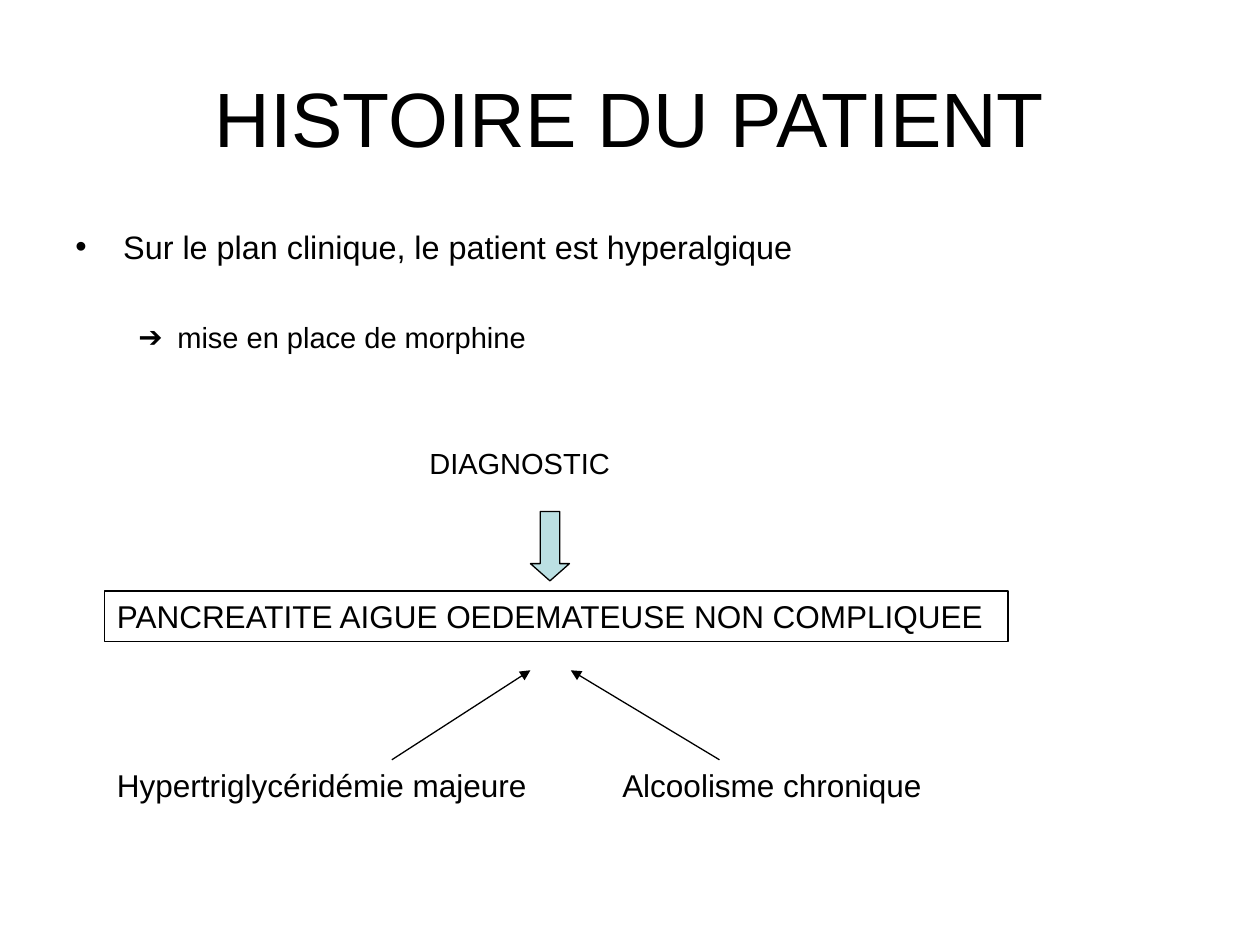
from typing import NamedTuple

import pptx
import pptx.dml.color
import pptx.enum.shapes
import pptx.enum.text
import pptx.oxml.ns
import pptx.util
from lxml import etree

Inches = pptx.util.Inches
Pt = pptx.util.Pt
PP_ALIGN = pptx.enum.text.PP_ALIGN
MSO_ANCHOR = pptx.enum.text.MSO_ANCHOR
MSO_SHAPE = pptx.enum.shapes.MSO_SHAPE

FONT = "Arial"
BLACK = "000000"
LIGHT_TEAL = "BBE0E3"
LINE_WIDTH = 0.75


class Box(NamedTuple):
    left: float
    top: float
    width: float
    height: float


class Item(NamedTuple):
    text: str
    size: float
    margin: float
    indent: float = 0
    bullet: str = ""
    space_before: float = 0


class Label(NamedTuple):
    text: str
    box: Box
    framed: bool = False


class Arrow(NamedTuple):
    start: tuple[float, float]
    end: tuple[float, float]


TITLE_BOX = Box(0.5, 0.3, 9, 1.25)
BODY_BOX = Box(0.5, 1.75, 9, 2.55)
DOWN_ARROW_BOX = Box(4.21, 4.06, 0.31, 0.55)

ITEMS = [
    Item("Sur le plan clinique, le patient est hyperalgique", 18.5, 0.38, -0.38, "•"),
    Item("mise en place de morphine", 16.6, 0.81, -0.31, "➔", 31),
    Item("DIAGNOSTIC", 16.6, 2.81, space_before=52),
]
LABELS = [
    Label("PANCREATITE AIGUE OEDEMATEUSE NON COMPLIQUEE", Box(0.83, 4.69, 7.17, 0.4), True),
    Label("Hypertriglycéridémie majeure", Box(0.83, 6.03, 3.54, 0.4)),
    Label("Alcoolisme chronique", Box(4.84, 6.03, 2.68, 0.4)),
]
CAUSE_ARROWS = [
    Arrow((3.11, 6.03), (4.21, 5.32)),
    Arrow((5.71, 6.03), (4.53, 5.32)),
]


def color(value: str) -> pptx.dml.color.RGBColor:
    return pptx.dml.color.RGBColor.from_string(value)


def add_element(parent, tag: str, **attributes: str):
    return etree.SubElement(parent, pptx.oxml.ns.qn(tag), attributes)


def set_font(paragraph, size: float) -> None:
    paragraph.font.name = FONT
    paragraph.font.size = Pt(size)
    paragraph.font.color.rgb = color(BLACK)


def set_line(line) -> None:
    line.color.rgb = color(BLACK)
    line.width = Pt(LINE_WIDTH)


def add_text_box(slide, box: Box):
    shape = slide.shapes.add_textbox(*map(Inches, box))
    shape.text_frame.word_wrap = True
    return shape


def add_title(slide, text: str) -> None:
    text_frame = add_text_box(slide, TITLE_BOX).text_frame
    text_frame.vertical_anchor = MSO_ANCHOR.MIDDLE
    paragraph = text_frame.paragraphs[0]
    paragraph.text = text
    paragraph.alignment = PP_ALIGN.CENTER
    set_font(paragraph, 44)


def add_body(slide, items: list[Item]) -> None:
    text_frame = add_text_box(slide, BODY_BOX).text_frame
    for index, item in enumerate(items):
        paragraph = text_frame.add_paragraph() if index else text_frame.paragraphs[0]
        paragraph.text = item.text
        paragraph.space_before = Pt(item.space_before)
        properties = paragraph._p.get_or_add_pPr()
        properties.set("marL", str(Inches(item.margin)))
        properties.set("indent", str(Inches(item.indent)))
        if item.bullet:
            add_element(properties, "a:buFont", typeface=FONT)
            add_element(properties, "a:buChar", char=item.bullet)
        set_font(paragraph, item.size)


def add_down_arrow(slide) -> None:
    shape = slide.shapes.add_shape(MSO_SHAPE.DOWN_ARROW, *map(Inches, DOWN_ARROW_BOX))
    shape.shadow.inherit = False
    shape.adjustments[1] = 0.44
    shape.fill.solid()
    shape.fill.fore_color.rgb = color(LIGHT_TEAL)
    set_line(shape.line)


def add_label(slide, label: Label) -> None:
    shape = add_text_box(slide, label.box)
    if label.framed:
        set_line(shape.line)
    paragraph = shape.text_frame.paragraphs[0]
    paragraph.text = label.text
    set_font(paragraph, 18)


def add_arrow(slide, arrow: Arrow) -> None:
    connector = slide.shapes.add_connector(
        pptx.enum.shapes.MSO_CONNECTOR.STRAIGHT, *map(Inches, arrow.start + arrow.end)
    )
    set_line(connector.line)
    add_element(connector.line._get_or_add_ln(), "a:tailEnd", type="triangle")
    add_element(connector._element.spPr, "a:effectLst")


def main() -> None:
    presentation = pptx.Presentation()
    presentation.slide_width = Inches(10)
    presentation.slide_height = Inches(7.5)
    slide = presentation.slides.add_slide(presentation.slide_layouts[6])

    # Title and clinical findings
    add_title(slide, "HISTOIRE DU PATIENT")
    add_body(slide, ITEMS)

    # Diagnosis and its two causes
    add_down_arrow(slide)
    for label in LABELS:
        add_label(slide, label)
    for arrow in CAUSE_ARROWS:
        add_arrow(slide, arrow)

    presentation.save("out.pptx")


if __name__ == "__main__":
    main()
